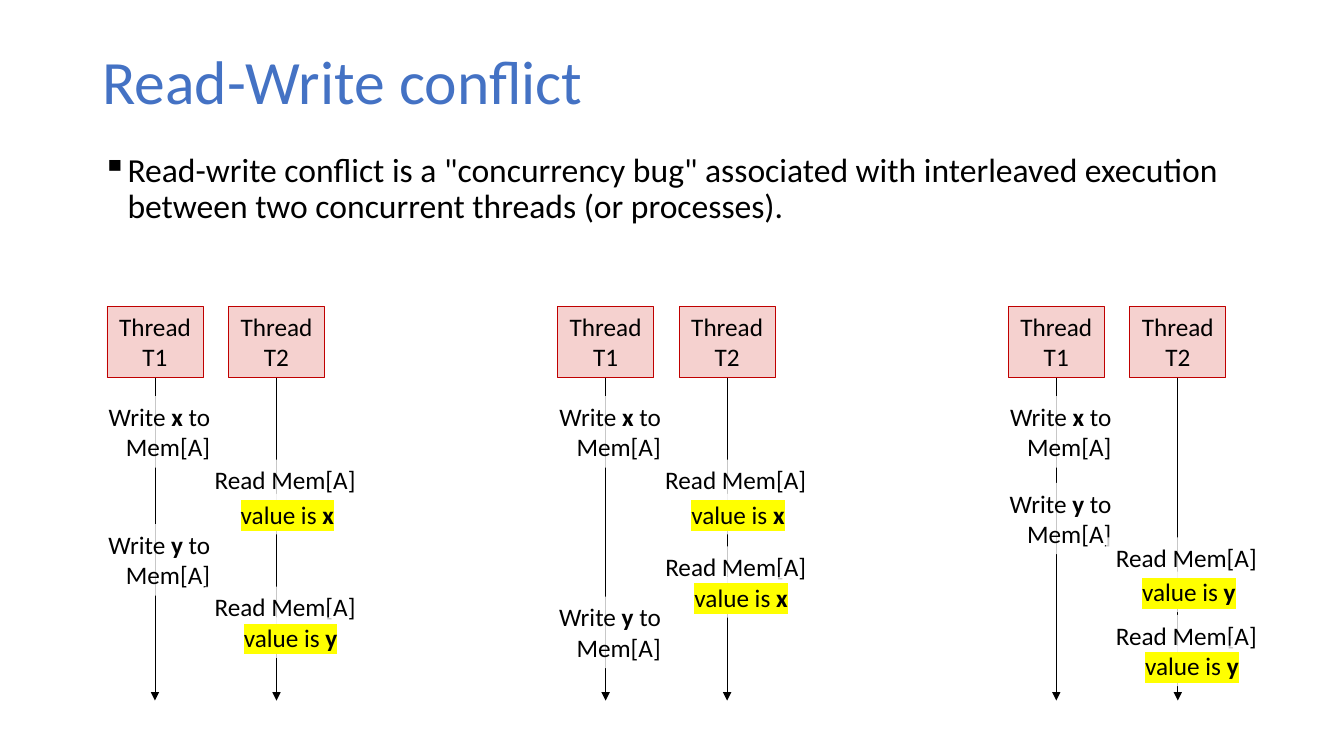
"""Build the Read-Write conflict slide: three interleavings of two threads."""
from dataclasses import dataclass

from lxml.etree import SubElement
from pptx import Presentation
from pptx.dml.color import RGBColor
from pptx.enum.shapes import MSO_CONNECTOR as Connector, MSO_SHAPE as Shape
from pptx.enum.text import MSO_ANCHOR as Anchor, MSO_AUTO_SIZE as AutoSize, PP_ALIGN as Align
from pptx.oxml import parse_xml
from pptx.oxml.ns import nsdecls, qn
from pptx.util import Pt

TITLE = "Read-Write conflict"
SUMMARY = (
    'Read-write conflict is a "concurrency bug" associated with interleaved execution '
    "between two concurrent threads (or processes)."
)
THREADS = ("Thread T1", "Thread T2")
INTERLEAVINGS = [
    {"writes": [("x", 283), ("y", 374.4)], "reads": [("x", 328.3), ("y", 419)]},
    {"writes": [("x", 283), ("y", 426.2)], "reads": [("x", 328.3), ("x", 390.2)]},
    {"writes": [("x", 283), ("y", 344.9)], "reads": [("y", 383.8), ("y", 439.2)]},
]


@dataclass(frozen=True)
class Theme:
    """Colours, type and line weights."""
    font: str = "Calibri"
    title_size: float = 44
    summary_size: float = 24
    label_size: float = 18
    title: str = "4472C4"
    ink: str = "000000"
    thread_fill: str = "F5D1CF"
    thread_line: str = "C00000"
    veil: str = "FFFFFF"
    veil_alpha: int = 78
    highlight: str = "FFFF00"
    line_width: float = 0.5


THEME = Theme()
SLIDE_SIZE = (960, 540)
TITLE_AREA = (66, 28.8, 828, 62.6)
SUMMARY_AREA = (66, 105.8, 836.6, 72)
BULLET_INDENT = 18
FIRST_LEFT, PANEL_PITCH, THREAD_PITCH = 76.4, 321.9, 86.8
THREAD_TOP, THREAD_WIDTH, THREAD_HEIGHT = 218.9, 68.6, 51
TIMELINE_END = 500.4
WRITE_OFFSET, WRITE_WIDTH = -10.6, 91.4
LABEL_HEIGHT = 29
READ_OFFSET = 69.8
READ_WIDTHS = (120.2, 116.6)
VALUE_PLACES = ((88.5, 24.5, 81.4), (90.7, 22, 82.1))


def rgb(code):
    return RGBColor.from_string(code)


def points(*lengths):
    return [Pt(length) for length in lengths]


def style_run(run, size, color, bold=False):
    run.font.size, run.font.bold, run.font.name = Pt(size), bold, THEME.font
    run.font.color.rgb = rgb(color)


def add_text(slide, area, text, size, color, anchor=Anchor.TOP):
    frame = slide.shapes.add_textbox(*points(*area)).text_frame
    frame.word_wrap, frame.vertical_anchor = True, anchor
    frame.text = text
    paragraph = frame.paragraphs[0]
    paragraph.line_spacing = 0.9
    style_run(paragraph.runs[0], size, color)
    return paragraph


def add_thread(slide, name, left):
    thread = slide.shapes.add_shape(
        Shape.RECTANGLE, *points(left, THREAD_TOP, THREAD_WIDTH, THREAD_HEIGHT))
    thread.shadow.inherit = False
    thread.fill.solid()
    thread.fill.fore_color.rgb = rgb(THEME.thread_fill)
    thread.line.color.rgb = rgb(THEME.thread_line)
    thread.line.width = Pt(THEME.line_width)
    frame = thread.text_frame
    frame.word_wrap, frame.vertical_anchor = True, Anchor.TOP
    frame.auto_size = AutoSize.SHAPE_TO_FIT_TEXT
    frame.text = name
    frame.paragraphs[0].alignment = Align.CENTER
    style_run(frame.paragraphs[0].runs[0], THEME.label_size, THEME.ink)

    center = left + THREAD_WIDTH / 2
    timeline = slide.shapes.add_connector(
        Connector.STRAIGHT, *points(center, THREAD_TOP + THREAD_HEIGHT, center, TIMELINE_END))
    timeline.begin_connect(thread, 2)
    timeline.line.color.rgb = rgb(THEME.ink)
    timeline.line.width = Pt(THEME.line_width)
    SubElement(timeline.line._get_or_add_ln(), qn("a:tailEnd"), type="triangle")
    SubElement(timeline._element.spPr, qn("a:effectLst"))


def add_label(slide, area, parts, wrap=False, align=Align.LEFT, highlight=False):
    label = slide.shapes.add_textbox(*points(*area))
    label.fill.solid()
    label.fill.fore_color.rgb = rgb(THEME.veil)
    veil = label._element.spPr.find(".//" + qn("a:srgbClr"))
    SubElement(veil, qn("a:alpha"), val=str(THEME.veil_alpha * 1000))
    frame = label.text_frame
    frame.word_wrap, frame.auto_size = wrap, AutoSize.SHAPE_TO_FIT_TEXT
    paragraph = frame.paragraphs[0]
    paragraph.alignment = align
    for index, part in enumerate(parts):
        run = paragraph.add_run()
        run.text = part
        style_run(run, THEME.label_size, THEME.ink, bold=index == 1)
        if highlight:
            run.font._element.find(qn("a:latin")).addprevious(parse_xml(
                f'<a:highlight {nsdecls("a")}><a:srgbClr val="{THEME.highlight}"/></a:highlight>'))


def add_interleaving(slide, left, writes, reads):
    for index, name in enumerate(THREADS):
        add_thread(slide, name, left + index * THREAD_PITCH)
    for variable, top in writes:
        add_label(slide, (left + WRITE_OFFSET, top, WRITE_WIDTH, THREAD_HEIGHT),
                  ("Write ", variable, " to Mem[A]"), wrap=True, align=Align.RIGHT)
    for (_, top), width in zip(reads, READ_WIDTHS):
        add_label(slide, (left + READ_OFFSET, top, width, LABEL_HEIGHT), ("Read Mem[A]",))
    for (variable, top), (offset, drop, width) in reversed(list(zip(reads, VALUE_PLACES))):
        add_label(slide, (left + offset, top + drop, width, LABEL_HEIGHT),
                  ("value is ", variable), highlight=True)


def main():
    deck = Presentation()
    deck.slide_width, deck.slide_height = points(*SLIDE_SIZE)
    slide = deck.slides.add_slide(deck.slide_layouts[6])
    add_text(slide, TITLE_AREA, TITLE, THEME.title_size, THEME.title, Anchor.MIDDLE)
    summary = add_text(slide, SUMMARY_AREA, SUMMARY, THEME.summary_size, THEME.ink)
    properties = summary._p.get_or_add_pPr()
    properties.set("marL", str(Pt(BULLET_INDENT)))
    properties.set("indent", str(-Pt(BULLET_INDENT)))
    SubElement(properties, qn("a:buChar"), char="▪")
    for index, interleaving in enumerate(INTERLEAVINGS):
        add_interleaving(slide, FIRST_LEFT + index * PANEL_PITCH, **interleaving)
    deck.save("out.pptx")


if __name__ == "__main__":
    main()
